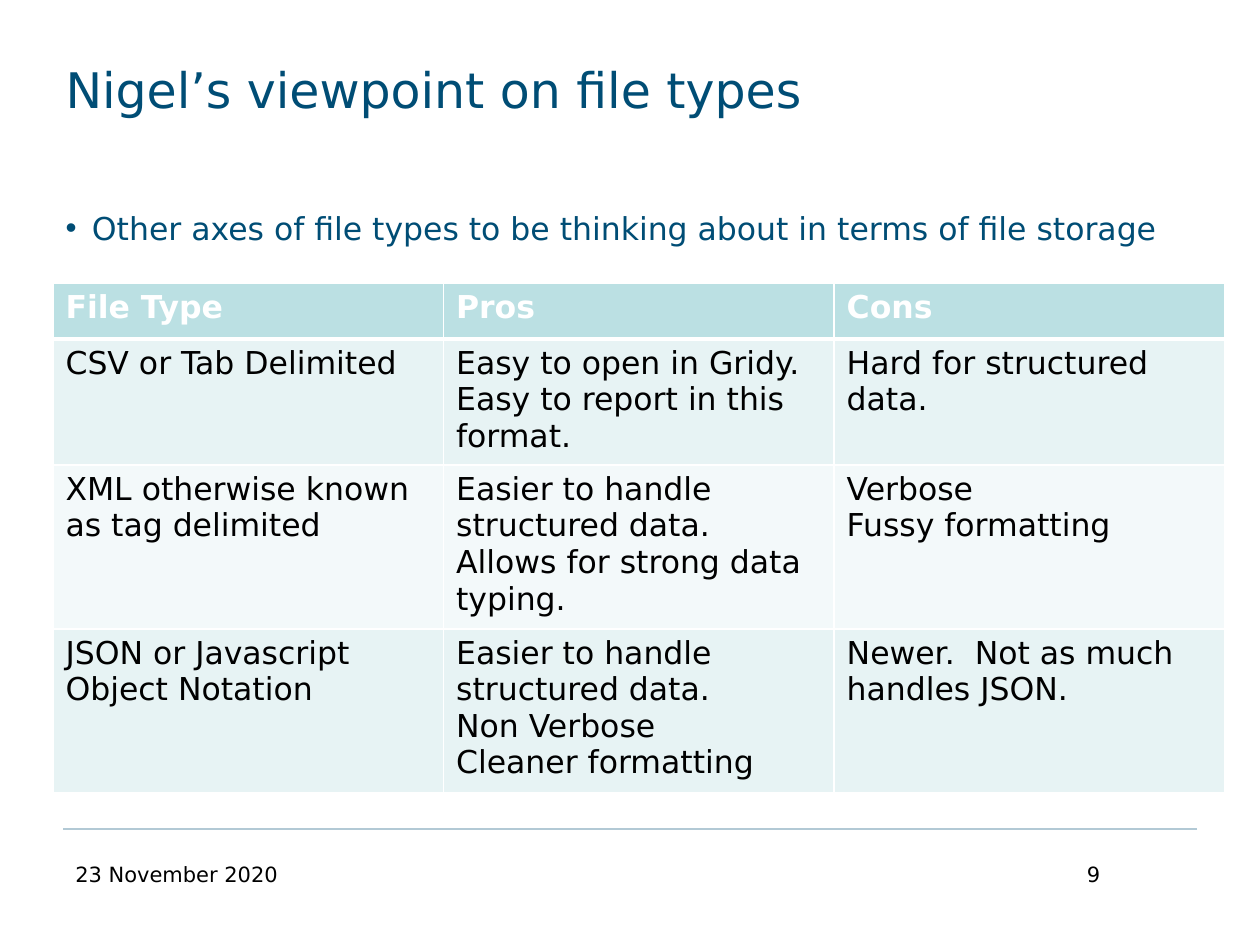
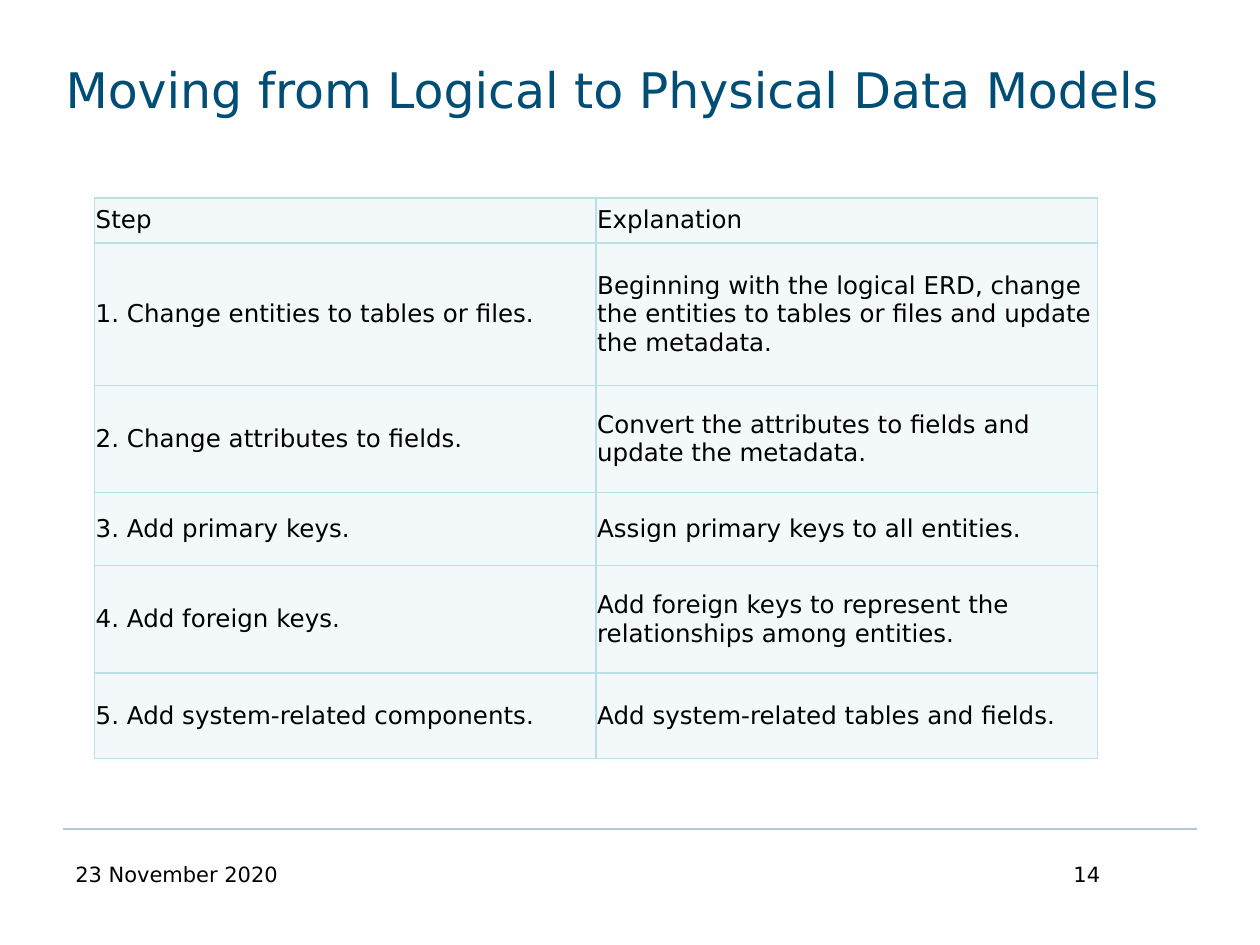
"""Build two slides on file types and on physical data models."""
from dataclasses import dataclass

from lxml import etree
from pptx import Presentation
from pptx.dml.color import RGBColor
from pptx.enum.shapes import MSO_CONNECTOR
from pptx.enum.text import MSO_ANCHOR, MSO_AUTO_SIZE, PP_ALIGN
from pptx.oxml.ns import qn
from pptx.util import Inches, Pt

LEFT, RIGHT = PP_ALIGN.LEFT, PP_ALIGN.RIGHT
TOP, MIDDLE = MSO_ANCHOR.TOP, MSO_ANCHOR.MIDDLE
NO_AUTOFIT = MSO_AUTO_SIZE.NONE
STRAIGHT = MSO_CONNECTOR.STRAIGHT
TITLE_AND_CONTENT, TITLE_ONLY = 1, 5

FONT = "DejaVu Sans"
COLORS = {
    "heading": "004D75",
    "text": "000000",
    "white": "FFFFFF",
    "rule": "B2C9D5",
    "accent": "BBE0E3",
    "band": "E7F3F4",
    "pale": "F3F9FA",
}
DATE = "23 November 2020"
TITLE_BOX = (0.42, 0.42, 9.08, 1.17)
BODY_BOX = (0.42, 1.58, 9.08, 0.89)
DATE_BOX = (0.5, 6.79, 2.33, 0.52)
NUMBER_BOX = (6.5, 6.79, 2.33, 0.52)
BULLET_INDENT = 0.21


@dataclass(frozen=True)
class TableStyle:
    """Look of a table; row fills after the header repeat in turn."""

    size: int
    header_fill: str
    row_fills: tuple[str, ...]
    border: str
    header_color: str = "text"
    header_bold: bool = False
    header_rule: float = 1
    anchor: MSO_ANCHOR = TOP
    margins: tuple[float, float] = (0.1, 0.05)


@dataclass(frozen=True)
class TableContent:
    """Place, measures and wording of a table."""

    left: float
    top: float
    column_width: float
    row_heights: tuple[float, ...]
    rows: tuple[tuple[str, ...], ...]


BANDED = TableStyle(18, "accent", ("band", "pale"), "white", "white", True, 3)
OUTLINED = TableStyle(14, "pale", ("pale",), "accent", anchor=MIDDLE,
                      margins=(0.01, 0.01))

FILE_TYPES = TableContent(0.42, 2.25, 3.1, (0.44, 0.77, 1.09, 1.09), (
    ("File Type", "Pros", "Cons"),
    ("CSV or Tab Delimited",
     "Easy to open in Gridy.\nEasy to report in this format.",
     "Hard for structured data."),
    ("XML otherwise known as tag delimited",
     "Easier to handle structured data.  Allows for strong data typing.",
     "Verbose\nFussy formatting"),
    ("JSON or Javascript Object Notation",
     "Easier to handle structured data.\nNon Verbose\nCleaner formatting",
     "Newer.  Not as much handles JSON."),
))
MODEL_STEPS = TableContent(0.75, 1.57, 3.98, (0.36, 1.13, 0.85, 0.58, 0.85, 0.68), (
    ("Step", "Explanation"),
    ("1. Change entities to tables or files.",
     "Beginning with the logical ERD, change the entities to tables or files "
     "and update the metadata."),
    ("2. Change attributes to fields.",
     "Convert the attributes to fields and update the metadata."),
    ("3. Add primary keys.", "Assign primary keys to all entities."),
    ("4. Add foreign keys.",
     "Add foreign keys to represent the relationships among entities."),
    ("5. Add system‐related components.",
     "Add system‐related tables and fields."),
))


def rgb(name: str) -> RGBColor:
    """Return a named colour."""
    return RGBColor.from_string(COLORS[name])


def write_text(text_frame, text: str, *, size: int, color: str = "text",
               bold: bool = False, align: PP_ALIGN = LEFT,
               bullet: bool = False, line_spacing: float = 1) -> None:
    """Write one formatted paragraph for each line of text."""
    text_frame.word_wrap = True
    for index, line in enumerate(text.split("\n")):
        paragraph = text_frame.paragraphs[0] if index == 0 else text_frame.add_paragraph()
        paragraph.text = line
        paragraph.alignment = align
        paragraph.line_spacing = line_spacing
        paragraph.space_before = Pt(0)
        if bullet:
            properties = paragraph._p.get_or_add_pPr()
            properties.set("marL", str(Inches(BULLET_INDENT)))
            properties.set("indent", str(-Inches(BULLET_INDENT)))
            etree.SubElement(properties, qn("a:buChar"), char="•")
        for run in paragraph.runs:
            run.font.name = FONT
            run.font.size = Pt(size)
            run.font.bold = bold
            run.font.color.rgb = rgb(color)


def fill_placeholder(shape, box: tuple[float, ...], text: str, **text_format) -> None:
    """Move a placeholder to its box and write its text."""
    shape.left, shape.top, shape.width, shape.height = map(Inches, box)
    shape.text_frame.auto_size = NO_AUTOFIT
    shape.text_frame.vertical_anchor = TOP
    write_text(shape.text_frame, text, color="heading", **text_format)


def add_footer(slide, number: int) -> None:
    """Draw the footer rule, the date and the slide number."""
    rule = slide.shapes.add_connector(
        STRAIGHT, Inches(9.5), Inches(6.58), Inches(0.5), Inches(6.58))
    rule.line.color.rgb = rgb("rule")
    rule.line.width = Pt(1.25)
    etree.SubElement(rule._element.spPr, qn("a:effectLst"))
    for box, text, align in ((DATE_BOX, DATE, LEFT), (NUMBER_BOX, str(number), RIGHT)):
        text_box = slide.shapes.add_textbox(*map(Inches, box))
        write_text(text_box.text_frame, text, size=12, align=align)


def set_borders(cell, color: str, top: float, bottom: float) -> None:
    """Draw the four borders of a cell, one point wide at the sides."""
    properties = cell._tc.get_or_add_tcPr()
    for side, width in (("L", 1), ("R", 1), ("T", top), ("B", bottom)):
        line = etree.SubElement(properties, qn(f"a:ln{side}"), w=str(Pt(width)))
        fill = etree.SubElement(line, qn("a:solidFill"))
        etree.SubElement(fill, qn("a:srgbClr"), val=COLORS[color])


def add_styled_table(slide, content: TableContent, style: TableStyle) -> None:
    """Add a table with equal columns in the given style."""
    row_count, column_count = len(content.rows), len(content.rows[0])
    table = slide.shapes.add_table(
        row_count, column_count, Inches(content.left), Inches(content.top),
        Inches(content.column_width * column_count),
        Inches(sum(content.row_heights))).table
    table.horz_banding = False
    for column in table.columns:
        column.width = Inches(content.column_width)
    horizontal, vertical = map(Inches, style.margins)
    for row_index, texts in enumerate(content.rows):
        table.rows[row_index].height = Inches(content.row_heights[row_index])
        header = row_index == 0
        fill = (style.header_fill if header
                else style.row_fills[(row_index - 1) % len(style.row_fills)])
        for column_index, text in enumerate(texts):
            cell = table.cell(row_index, column_index)
            cell.margin_left = cell.margin_right = horizontal
            cell.margin_top = cell.margin_bottom = vertical
            cell.vertical_anchor = style.anchor
            set_borders(cell, style.border,
                        top=style.header_rule if row_index == 1 else 1,
                        bottom=style.header_rule if header else 1)
            cell.fill.solid()
            cell.fill.fore_color.rgb = rgb(fill)
            write_text(cell.text_frame, text, size=style.size,
                       color=style.header_color if header else "text",
                       bold=header and style.header_bold)


def add_slide(presentation, layout: int, title: str, number: int):
    """Add a slide with its title and footer."""
    slide = presentation.slides.add_slide(presentation.slide_layouts[layout])
    fill_placeholder(slide.shapes.title, TITLE_BOX, title, size=28)
    add_footer(slide, number)
    return slide


def main() -> None:
    """Build and save the presentation."""
    presentation = Presentation()
    presentation.slide_width = Inches(10)
    presentation.slide_height = Inches(7.5)

    slide = add_slide(presentation, TITLE_AND_CONTENT,
                      "Nigel’s viewpoint on file types", 9)
    fill_placeholder(
        slide.placeholders[1], BODY_BOX,
        "Other axes of file types to be thinking about in terms of file storage",
        size=18, bullet=True, line_spacing=1.1)
    add_styled_table(slide, FILE_TYPES, BANDED)

    slide = add_slide(presentation, TITLE_ONLY,
                      "Moving from Logical to Physical Data Models", 14)
    add_styled_table(slide, MODEL_STEPS, OUTLINED)

    presentation.save("out.pptx")


if __name__ == "__main__":
    main()
